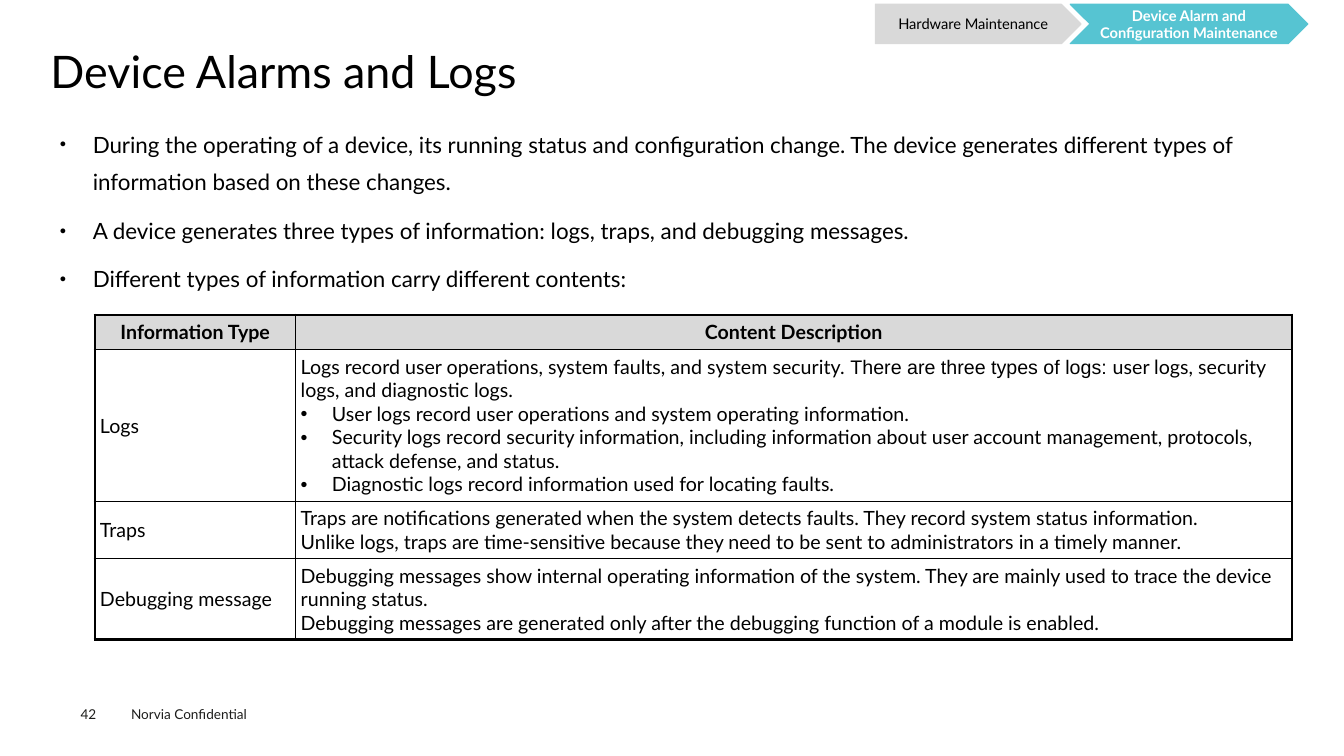
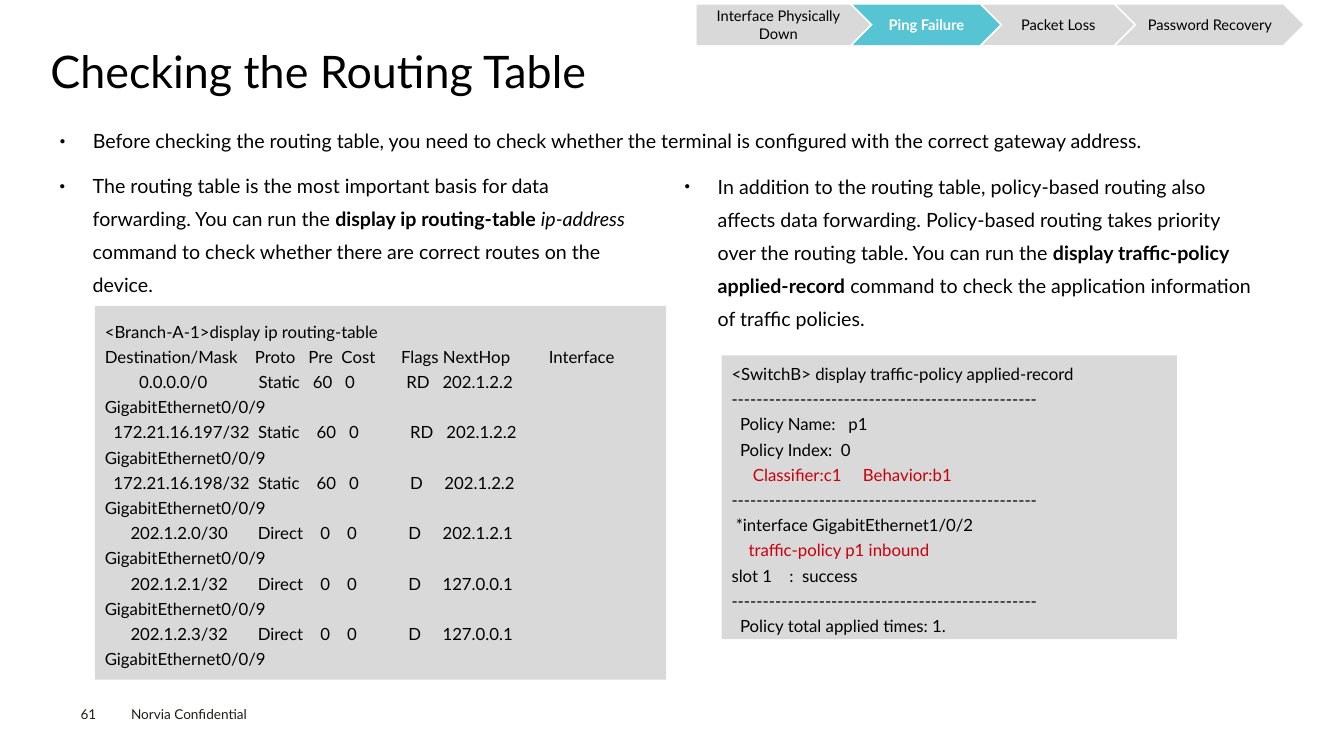
import pptx
import pptx.util
import pptx.dml.color
import pptx.enum.shapes
import pptx.enum.text
import pptx.oxml
import pptx.oxml.ns

Pt = pptx.util.Pt
Inches = pptx.util.Inches
Align = pptx.enum.text.PP_ALIGN
Anchor = pptx.enum.text.MSO_ANCHOR
Shape = pptx.enum.shapes.MSO_SHAPE

HUES = {"ink": "000000", "note": "1D1D1B", "gray": "D9D9D9",
        "teal": "56C4D2", "white": "FFFFFF", "red": "C7000B"}
FONT = "Lato"
WIDE, HIGH = Inches(13.33), Inches(7.5)
COLS, ROWS = 160, 90
RULE = "-" * 49

INTRO = [
    "During the operating of a device, its running status and configuration change. "
    "The device generates different types of information based on these changes.",
    "A device generates three types of information: logs, traps, and debugging messages.",
    "Different types of information carry different contents:",
]
GRID = [
    (["Information Type"], ["Content Description"]),
    (["Logs"], [
        [("Logs record user operations, system faults, and system security. ", ""),
         ("There are three types of logs: ", "a"),
         ("user logs, security logs, and diagnostic logs.", "")],
        "• User logs record user operations and system operating information.",
        "• Security logs record security information, including information about user "
        "account management, protocols, attack defense, and status.",
        "• Diagnostic logs record information used for locating faults.",
    ]),
    (["Traps"], [
        "Traps are notifications generated when the system detects faults. "
        "They record system status information.",
        "Unlike logs, traps are time-sensitive because they need to be sent to "
        "administrators in a timely manner.",
    ]),
    (["Debugging message"], [
        "Debugging messages show internal operating information of the system. "
        "They are mainly used to trace the device running status.",
        "Debugging messages are generated only after the debugging function of a "
        "module is enabled.",
    ]),
]
CHECK = ["Before checking the routing table, you need to check whether the terminal is "
         "configured with the correct gateway address."]
ROUTE = [
    ("The routing table is the most important basis for data forwarding. "
     "You can run the ", ""),
    ("display ip routing-table ", "b"),
    ("ip-address", "i"),
    (" command to check whether there are correct routes on the device.", ""),
]
ROUTES = [
    "<Branch-A-1>display ip routing-table",
    "Destination/Mask    Proto   Pre  Cost      Flags NextHop         Interface",
    "        0.0.0.0/0            Static   60   0            RD   202.1.2.2       GigabitEthernet0/0/9",
    "  172.21.16.197/32  Static    60   0            RD   202.1.2.2       GigabitEthernet0/0/9",
    "  172.21.16.198/32  Static    60   0            D     202.1.2.2       GigabitEthernet0/0/9",
    "      202.1.2.0/30       Direct    0    0            D     202.1.2.1       GigabitEthernet0/0/9",
    "      202.1.2.1/32       Direct    0    0            D     127.0.0.1       GigabitEthernet0/0/9",
    "      202.1.2.3/32       Direct    0    0            D     127.0.0.1       GigabitEthernet0/0/9",
]
RULES = [
    ("In addition to the routing table, policy-based routing also affects data "
     "forwarding. Policy-based routing takes priority over the routing table. "
     "You can run the ", ""),
    ("display traffic-policy applied-record", "b"),
    (" command to check the application information of traffic policies.", ""),
]
RECORD = [
    "<SwitchB> display traffic-policy applied-record",
    RULE,
    "  Policy Name:   p1",
    "  Policy Index:  0",
    "     Classifier:c1     Behavior:b1",
    RULE,
    " *interface GigabitEthernet1/0/2",
    "    traffic-policy p1 inbound",
    "slot 1    :  success",
    RULE,
    "  Policy total applied times: 1.",
]


def place(box):
    """Turn a box of grid columns and rows into slide lengths."""
    left, top, wide, high = box
    return (round(left * WIDE / COLS), round(top * HIGH / ROWS),
            round(wide * WIDE / COLS), round(high * HIGH / ROWS))


def tint(name):
    """Give the colour of a name."""
    return pptx.dml.color.RGBColor.from_string(HUES[name])


def write(para, runs, size, hue="ink"):
    """Add styled runs to a paragraph."""
    for text, style in [(runs, "")] if isinstance(runs, str) else runs:
        run = para.add_run()
        run.text = text
        font = run.font
        font.name = "Arial" if "a" in style else FONT
        font.size = Pt(size)
        font.bold = "b" in style
        font.italic = "i" in style
        font.color.rgb = tint(hue)


def frame(part, pads, anchor=Anchor.TOP):
    """Prepare a text frame with wrapping, insets and an anchor."""
    text = part.text_frame
    text.word_wrap = True
    text.auto_size = pptx.enum.text.MSO_AUTO_SIZE.NONE
    text.vertical_anchor = anchor
    text.margin_left = text.margin_right = Inches(pads[0])
    text.margin_top = text.margin_bottom = Inches(pads[1])
    return text


def lines(text, count):
    """Yield the given number of paragraphs, the first one reused."""
    for spot in range(count):
        yield text.paragraphs[0] if spot == 0 else text.add_paragraph()


def dot(para, mark, indent, share=100):
    """Give a paragraph a hanging bullet."""
    props = para._p.get_or_add_pPr()
    props.set("marL", str(Inches(indent)))
    props.set("indent", str(-Inches(indent)))
    for tag, key, value in (("buSzPct", "val", str(share * 1000)),
                            ("buFont", "typeface", "Arial"),
                            ("buChar", "char", mark)):
        item = pptx.oxml.ns.qn("a:" + tag)
        props.append(props.makeelement(item, {key: value}))


def fill_list(part, items, size):
    """Fill a box with bulleted paragraphs."""
    text = frame(part, (0.09, 0.04))
    for spot, (para, runs) in enumerate(zip(lines(text, len(items)), items)):
        dot(para, "●", 0.33, 50)
        para.line_spacing = 1.4
        para.space_before = Pt(7.9 if spot else 0)
        write(para, runs, size)


def move(part, box):
    """Move a placeholder to a box."""
    part.left, part.top, part.width, part.height = place(box)


def foot(slide, box, page):
    """Write the page number and footer note."""
    left, top, wide, high = box
    for shift, words in ((0, page), (6, "Norvia Confidential")):
        part = slide.shapes.add_textbox(*place((left + shift, top, wide - shift, high)))
        write(frame(part, (0, 0)).paragraphs[0], words, 9.7, "note")


def block(slide, kind, box, hue, edge=False):
    """Add a flat filled shape."""
    part = slide.shapes.add_shape(kind, *place(box))
    part.shadow.inherit = False
    part.fill.solid()
    part.fill.fore_color.rgb = tint(hue)
    if edge:
        part.line.color.rgb = tint(hue)
        part.line.width = Pt(0.75)
    else:
        part.line.fill.background()
    return part


def trail(slide, box, steps, live, lap):
    """Draw the chain of arrow steps from the left of a box."""
    left, top, _, high = box
    for spot, (words, wide) in enumerate(steps):
        on = spot == live
        kind = Shape.CHEVRON if spot else Shape.PENTAGON
        part = block(slide, kind, (left, top, wide, high),
                     "teal" if on else "gray", True)
        text = frame(part, (0 if spot else 0.15, 0), Anchor.MIDDLE)
        para = text.paragraphs[0]
        para.alignment = Align.CENTER
        write(para, [(words, "b" if on else "")], 10.5, "white" if on else "ink")
        left += wide - lap


def edges(cell, sides):
    """Draw the four borders of a cell."""
    props = cell._tc.get_or_add_tcPr()
    for side, heavy in sides:
        props.append(pptx.oxml.parse_xml(
            f'<a:ln{side} {pptx.oxml.ns.nsdecls("a")} w="{Pt(2.25 if heavy else 1)}">'
            f'<a:solidFill><a:srgbClr val="{HUES["ink"]}"/></a:solidFill></a:ln{side}>'))


def table(slide, box, rows, wides, highs):
    """Draw the framed table with a grey head row."""
    part = slide.shapes.add_table(len(rows), len(wides), *place(box))
    grid = part.table
    grid.first_row = grid.horz_banding = False
    for col, wide in zip(grid.columns, wides):
        col.width = place((0, 0, wide, 0))[2]
    for row, high in zip(grid.rows, highs):
        row.height = place((0, 0, 0, high))[3]
    for y, row in enumerate(rows):
        for x, paras in enumerate(row):
            cell = grid.cell(y, x)
            edges(cell, (("L", x == 0), ("R", x == len(row) - 1),
                         ("T", y == 0), ("B", y == len(rows) - 1)))
            cell.fill.solid()
            cell.fill.fore_color.rgb = tint("white" if y else "gray")
            cell.vertical_anchor = Anchor.MIDDLE
            cell.margin_left = cell.margin_right = Inches(0.05)
            cell.margin_top = cell.margin_bottom = Inches(0.05)
            for para, runs in zip(lines(cell.text_frame, len(paras)), paras):
                if y == 0:
                    para.alignment = Align.CENTER
                    runs = [(runs, "b")]
                elif runs[0] == "•":
                    dot(para, "•", 0.31)
                    runs = runs[2:]
                write(para, runs, 14)


def code(slide, box, rows, marks):
    """Show command output on a grey panel, with marked rows in red."""
    text = frame(block(slide, Shape.RECTANGLE, box, "gray"), (0.1, 0.05), Anchor.MIDDLE)
    for spot, (para, row) in enumerate(zip(lines(text, len(rows)), rows)):
        para.alignment = Align.LEFT
        para.line_spacing = 1.25
        write(para, row, 12, "red" if spot in marks else "ink")


def column(slide, box, runs, panel, rows, marks=()):
    """Place a bulleted text with its code panel set off from the box corner."""
    left, top = box[:2]
    right, down, wide, high = panel
    code(slide, (left + right, top + down, wide, high), rows, marks)
    fill_list(slide.shapes.add_textbox(*place(box)), [runs], 14)


def start(deck, title, items, size, page):
    """Add a slide with title, list and footer."""
    slide = deck.slides.add_slide(deck.slide_layouts[1])
    head, body = slide.shapes.title, slide.placeholders[1]
    move(head, (6, 5.88, 148.2, 6.48))
    para = frame(head, (0, 0)).paragraphs[0]
    para.alignment = Align.LEFT
    para.line_spacing = 0.9
    write(para, title, 32)
    move(body, (6, 13.8, 148.2, 64))
    fill_list(body, items, size)
    foot(slide, (9.6, 84, 30, 2), page)
    return slide


def alarms(deck):
    """Build the slide on alarms and logs."""
    slide = start(deck, "Device Alarms and Logs", INTRO, 16, "42")
    table(slide, (11.3, 37.5, 142.5, 38.6), GRID, (23.9, 118.6), (4.1, 18.1, 6.8, 9.6))
    trail(slide, (104.2, 0.5, 51.5, 4.7),
          [("Hardware Maintenance", 24.5),
           ("Device Alarm and Configuration Maintenance", 28.3)], 1, 1.3)


def routing(deck):
    """Build the slide on the routing table."""
    slide = start(deck, "Checking the Routing Table", CHECK, 14, "61")
    column(slide, (6, 19.1, 70.4, 35.4), ROUTE, (5.3, 17.3, 68, 44.5), ROUTES)
    column(slide, (80.4, 19.2, 70.7, 35.4), RULES, (5.5, 23.1, 54.2, 33.8), RECORD, (4, 7))
    trail(slide, (83, 0.6, 72, 4.7),
          [("Interface Physically Down", 20.5), ("Ping Failure", 17.3),
           ("Packet Loss", 17.8), ("Password Recovery", 22)], 1, 1.85)


def main():
    """Build and save the deck."""
    deck = pptx.Presentation()
    deck.slide_width, deck.slide_height = WIDE, HIGH
    alarms(deck)
    routing(deck)
    deck.save("out.pptx")


if __name__ == "__main__":
    main()
